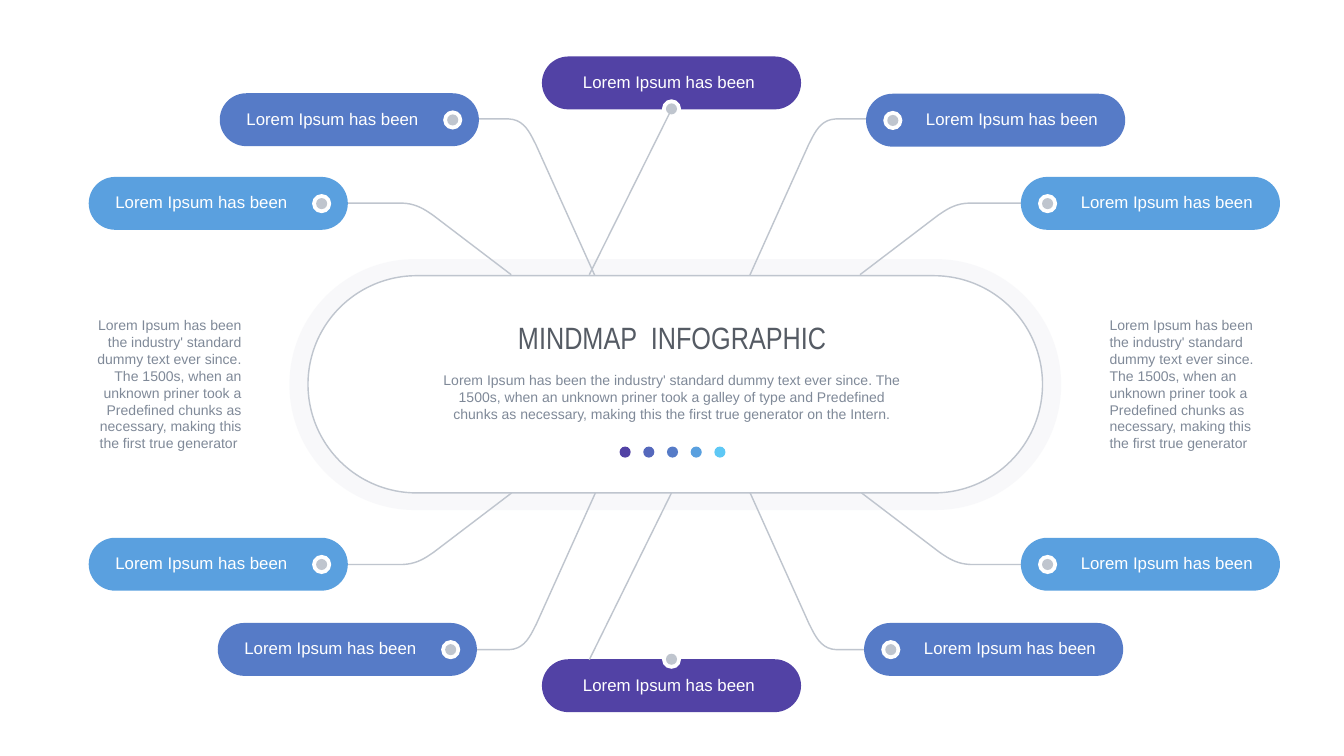
from pptx import Presentation
from pptx.dml.color import RGBColor
from pptx.enum.shapes import MSO_CONNECTOR, MSO_SHAPE
from pptx.enum.text import MSO_ANCHOR, MSO_AUTO_SIZE, PP_ALIGN
from pptx.oxml.ns import qn
from pptx.util import Inches, Pt
from lxml import etree

ROUNDED, OVAL = MSO_SHAPE.ROUNDED_RECTANGLE, MSO_SHAPE.OVAL
LEFT, CENTER, RIGHT = PP_ALIGN.LEFT, PP_ALIGN.CENTER, PP_ALIGN.RIGHT
TOP, MIDDLE = MSO_ANCHOR.TOP, MSO_ANCHOR.MIDDLE
STRAIGHT = MSO_CONNECTOR.STRAIGHT
FIT_SHAPE, BOTTOM_SITE = MSO_AUTO_SIZE.SHAPE_TO_FIT_TEXT, 2

WHITE, HALO, GREY = "FFFFFF", "EFF0F5", "BFC5CE"
HEADING, BODY = "555B64", "7F8998"
PURPLE, INDIGO, BLUE, SKY, CYAN = "5242A5", "5568BC", "567BC7", "5AA0DF", "5EC8F5"

PILL_W, PILL_H = 5.14, 1.05
RING, DOT = 0.38, 0.22
LABEL = "Lorem Ipsum has been"
SIDE_NOTE = ("Lorem Ipsum has been the industry' standard dummy text ever since. "
             "The 1500s, when an unknown priner took a Predefined chunks as necessary, "
             "making this the first true generator")
SUMMARY = ("Lorem Ipsum has been the industry' standard dummy text ever since. "
           "The 1500s, when an unknown priner took a galley of type and Predefined "
           "chunks as necessary, making this the first true generator on the Intern.")

# Branch outlines as offsets from the panel: start, bend (4 Bezier points), end
LOW_BRANCH = [(0, 0), (1.55, 1.18), (1.7, 1.28), (1.87, 1.41), (2.16, 1.42), (3.34, 1.42)]
HIGH_BRANCH = [(0, 0), (1.17, 2.6), (1.28, 2.81), (1.39, 3.1), (1.71, 3.11), (2.52, 3.11)]

# outline, panel x, panel y, horizontal direction, vertical direction
BRANCHES = [
    (LOW_BRANCH, 10.14, 5.45, -1, -1), (LOW_BRANCH, 17.06, 5.45, 1, -1),
    (HIGH_BRANCH, 11.8, 5.47, -1, -1), (HIGH_BRANCH, 14.87, 5.47, 1, -1),
    (HIGH_BRANCH, 11.81, 9.78, -1, 1), (HIGH_BRANCH, 14.88, 9.78, 1, 1),
    (LOW_BRANCH, 10.15, 9.78, -1, 1), (LOW_BRANCH, 17.09, 9.78, 1, 1),
]

# left, top, colour, ring offset x, label offset x
LEFT_LAYOUT, RIGHT_LAYOUT = (4.43, 0.43), (0.34, 1.09)
SIDE_PILLS = [
    (1.76, 3.51, SKY, *LEFT_LAYOUT), (20.25, 3.51, SKY, *RIGHT_LAYOUT),
    (4.36, 1.85, BLUE, *LEFT_LAYOUT), (17.18, 1.86, BLUE, *RIGHT_LAYOUT),
    (4.32, 12.36, BLUE, *LEFT_LAYOUT), (17.14, 12.36, BLUE, *RIGHT_LAYOUT),
    (1.76, 10.67, SKY, *LEFT_LAYOUT), (20.25, 10.67, SKY, *RIGHT_LAYOUT),
]


def rgb(value):
    return RGBColor.from_string(value)


def bezier(points, steps=10):
    """Return points along a cubic Bezier curve, without its start."""
    curve = []
    for step in range(1, steps + 1):
        t = step / steps
        weights = ((1 - t) ** 3, 3 * t * (1 - t) ** 2, 3 * t * t * (1 - t), t ** 3)
        curve.append(tuple(sum(w * point[axis] for w, point in zip(weights, points))
                           for axis in (0, 1)))
    return curve


class MindMap:
    """Holds the page and the shared style of the mind map."""

    def __init__(self, page):
        self.shapes = page.shapes
        self.line_color, self.line_width = GREY, Pt(2)

    def outline(self, item):
        item.line.color.rgb = rgb(self.line_color)
        item.line.width = self.line_width

    def shape(self, kind, left, top, width, height, fill, alpha=None, outlined=False):
        item = self.shapes.add_shape(kind, Inches(left), Inches(top),
                                     Inches(width), Inches(height))
        item.shadow.inherit = False
        item.fill.solid()
        item.fill.fore_color.rgb = rgb(fill)
        if alpha is not None:
            color = item.fill._xPr.find(".//" + qn("a:srgbClr"))
            etree.SubElement(color, qn("a:alpha")).set("val", str(alpha * 1000))
        if kind == ROUNDED:
            item.adjustments[0] = 0.5
        if outlined:
            self.outline(item)
        else:
            item.line.fill.background()
        return item

    def text(self, left, top, width, height, words, size, color, align=LEFT,
             font="Arial", anchor=TOP, wrap=True):
        box = self.shapes.add_textbox(Inches(left), Inches(top),
                                      Inches(width), Inches(height))
        frame = box.text_frame
        frame.text = words
        frame.word_wrap = wrap
        frame.auto_size = FIT_SHAPE
        frame.vertical_anchor = anchor
        para = frame.paragraphs[0]
        para.alignment = align
        para.font.name, para.font.size = font, Pt(size)
        para.font.color.rgb = rgb(color)

    def branch(self, offsets, x, y, across, down):
        """Draw a bent line from the panel out to a pill."""
        start, bend, end = offsets[0], offsets[1:5], offsets[5]
        points = [start, bend[0], *bezier(bend), end]
        points = [(Inches(x + across * dx), Inches(y + down * dy)) for dx, dy in points]
        builder = self.shapes.build_freeform(*points[0], scale=1.0)
        builder.add_line_segments(points[1:], close=False)
        item = builder.convert_to_shape()
        item.shadow.inherit = False
        item.fill.background()
        self.outline(item)

    def connector(self, x1, y1, x2, y2):
        line = self.shapes.add_connector(STRAIGHT, Inches(x1), Inches(y1),
                                         Inches(x2), Inches(y2))
        self.outline(line)
        etree.SubElement(line._element.spPr, qn("a:effectLst"))
        return line

    def pill(self, left, top, color):
        return self.shape(ROUNDED, left, top, PILL_W, PILL_H, color)

    def marker(self, left, top):
        inset = (RING - DOT) / 2
        self.shape(OVAL, left, top, RING, RING, WHITE)
        self.shape(OVAL, left + inset, top + inset, DOT, DOT, GREY)

    def side_pill(self, left, top, color, ring_x, label_x):
        self.pill(left, top, color)
        self.marker(left + ring_x, top + 0.34)
        self.text(left + label_x, top + 0.25, 3.7, 0.5, LABEL, 24, WHITE, wrap=False)

    def middle_pill(self, top, marker_top):
        pill = self.pill(10.75, top, PURPLE)
        self.marker(13.13, marker_top)
        self.text(11.07, top + 0.25, 4.49, 0.5, LABEL + " ", 24, WHITE, CENTER)
        return pill


def main():
    deck = Presentation()
    deck.slide_width, deck.slide_height = Inches(26.66), Inches(15)
    mind_map = MindMap(deck.slides.add_slide(deck.slide_layouts[6]))

    mind_map.shape(ROUNDED, 5.74, 5.14, 15.31, 4.98, HALO, alpha=41)
    mind_map.shape(ROUNDED, 6.11, 5.47, 14.57, 4.31, WHITE, outlined=True)
    mind_map.text(7.68, 6.27, 11.31, 0.84, "MINDMAP  INFOGRAPHIC", 44, HEADING,
                  CENTER, "Arial Narrow", MIDDLE)
    mind_map.text(8.62, 7.32, 9.42, 1.1, SUMMARY, 20, BODY, CENTER)
    for index, color in enumerate((PURPLE, INDIGO, BLUE, SKY, CYAN)):
        mind_map.shape(OVAL, 12.29 + 0.47 * index, 8.86, DOT, DOT, color)

    for branch in BRANCHES:
        mind_map.branch(*branch)
    for pill in SIDE_PILLS:
        mind_map.side_pill(*pill)

    top_pill = mind_map.middle_pill(1.12, 1.97)
    top_line = mind_map.connector(13.32, 2.17, 11.69, 5.45)
    top_line.begin_connect(top_pill, BOTTOM_SITE)
    mind_map.middle_pill(13.08, 12.89)
    mind_map.connector(13.32, 9.78, 11.69, 13.09)

    mind_map.text(1.57, 6.24, 3.32, 2.77, SIDE_NOTE + " ", 20, BODY, RIGHT)
    mind_map.text(21.91, 6.24, 3.32, 2.77, SIDE_NOTE, 20, BODY)
    deck.save("out.pptx")


if __name__ == "__main__":
    main()
